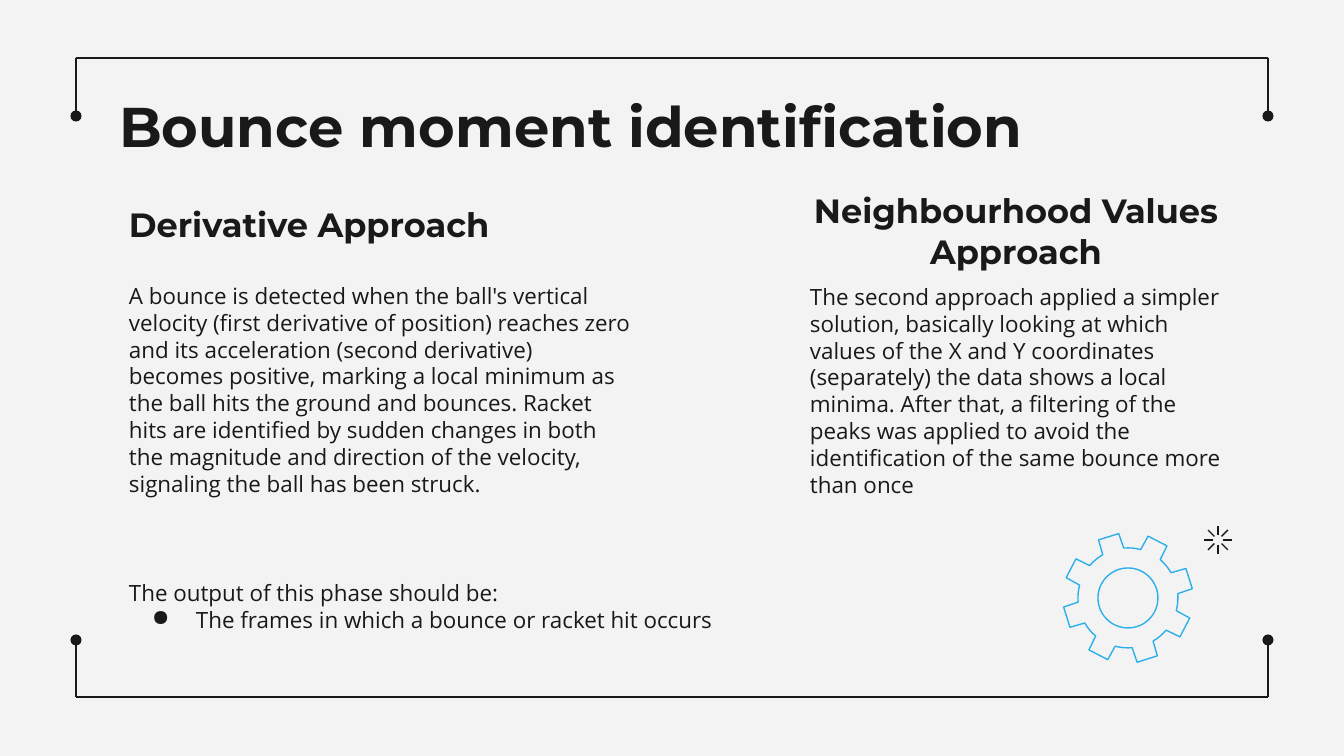
from math import cos, radians, sin

from lxml.etree import SubElement
from pptx import Presentation
from pptx.dml.color import RGBColor
from pptx.enum.shapes import MSO_CONNECTOR, MSO_SHAPE
from pptx.enum.text import MSO_ANCHOR, MSO_AUTO_SIZE, PP_ALIGN
from pptx.oxml.ns import qn
from pptx.util import Emu, Pt

INK = RGBColor(0x19, 0x19, 0x19)
BLUE = RGBColor(0x2A, 0xAF, 0xEB)
PAPER = RGBColor(0xF3, 0xF3, 0xF3)
HEADING_FONT, BODY_FONT = "Montserrat", "Open Sans"
LINE_WIDTH = Pt(0.75)

TITLE = ("Bounce moment identification", (106, 79, 1133, 85))
HEADINGS = [
    ("Derivative Approach", (116, 175, 403, 82), PP_ALIGN.LEFT),
    ("Neighbourhood Values Approach", (793, 202, 446, 82), PP_ALIGN.CENTER),
]
BODIES = [
    (["A bounce is detected when the ball's vertical velocity (first derivative of "
      "position) reaches zero and its acceleration (second derivative) becomes "
      "positive, marking a local minimum as the ball hits the ground and bounces. "
      "Racket hits are identified by sudden changes in both the magnitude and "
      "direction of the velocity, signaling the ball has been struck."],
     (116, 269, 530, 98)),
    (["The second approach applied a simpler solution, basically looking at which "
      "values of the X and Y coordinates (separately) the data shows a local minima. "
      "After that, a filtering of the peaks was applied to avoid the identification "
      "of the same bounce more than once"],
     (797, 270, 438, 98)),
    (["The output of this phase should be:",
      "The frames in which a bounce or racket hit occurs"],
     (116, 566, 625, 82)),
]
BULLETED = {"The frames in which a bounce or racket hit occurs"}

FRAME_LEFT, FRAME_RIGHT = 76, 1268
FRAME_EDGES = [(58, 116), (697, 640)]

GEAR_CENTER, HUB_RADIUS = (1128, 598), 30
TOOTH_COUNT, FIRST_TOOTH_ANGLE = 8, -107.5
TOOTH_OUTLINE = [(50, -12.7), (65, -9.4), (65, 9.4), (50, 12.7),
                 (50, 17.6), (50, 22.5), (50, 27.4)]
SPARK_CENTER, RAY_COUNT, RAY_START, RAY_END = (1218, 540), 8, 5, 14


def px(length):
    return Emu(round(length * 914400 / 134.4))


def polar(center, radius, angle):
    return (center[0] + radius * cos(radians(angle)),
            center[1] + radius * sin(radians(angle)))


def fill_text(shape, paragraphs, font_name, size, bold=False,
              align=PP_ALIGN.LEFT, anchor=MSO_ANCHOR.TOP):
    frame = shape.text_frame
    frame.word_wrap = True
    frame.auto_size = MSO_AUTO_SIZE.NONE
    frame.vertical_anchor = anchor
    frame.margin_left = frame.margin_right = px(13)
    frame.margin_top = frame.margin_bottom = px(13)
    for index, text in enumerate(paragraphs):
        paragraph = frame.add_paragraph() if index else frame.paragraphs[0]
        paragraph.text = text
        paragraph.alignment = align
        paragraph.line_spacing = 1.0
        paragraph.space_before = Pt(0)
        if text in BULLETED:
            properties = paragraph._p.get_or_add_pPr()
            properties.set("marL", str(px(67)))
            properties.set("indent", str(px(-44)))
            SubElement(properties, qn("a:buChar")).set("char", "●")
        paragraph.font.name = font_name
        paragraph.font.size = Pt(size)
        paragraph.font.bold = bold
        paragraph.font.color.rgb = INK


def add_text(slide, box, *args, **options):
    fill_text(slide.shapes.add_textbox(*map(px, box)), *args, **options)


def add_line(slide, start, end, dot=False):
    line = slide.shapes.add_connector(MSO_CONNECTOR.STRAIGHT, *map(px, start + end))
    line.line.color.rgb = INK
    line.line.width = LINE_WIDTH
    if dot:
        SubElement(line.line._get_or_add_ln(), qn("a:tailEnd")).set("type", "oval")
    SubElement(line._element.spPr, qn("a:effectLst"))


def outline_blue(shape):
    shape.shadow.inherit = False
    shape.fill.background()
    shape.line.color.rgb = BLUE
    shape.line.width = LINE_WIDTH


def add_frame(slide):
    for edge, dot_y in FRAME_EDGES:
        add_line(slide, (FRAME_LEFT, edge), (FRAME_RIGHT, edge))
        for x in (FRAME_LEFT, FRAME_RIGHT):
            add_line(slide, (x, edge), (x, dot_y), dot=True)


def add_gear(slide):
    step = 360 / TOOTH_COUNT
    points = [
        tuple(map(px, polar(GEAR_CENTER, radius, FIRST_TOOTH_ANGLE + tooth * step + angle)))
        for tooth in range(TOOTH_COUNT)
        for radius, angle in TOOTH_OUTLINE
    ]
    builder = slide.shapes.build_freeform(*points[0])
    builder.add_line_segments(points[1:], close=True)
    outline_blue(builder.convert_to_shape())
    x, y = GEAR_CENTER
    hub_box = (x - HUB_RADIUS, y - HUB_RADIUS, 2 * HUB_RADIUS, 2 * HUB_RADIUS)
    outline_blue(slide.shapes.add_shape(MSO_SHAPE.OVAL, *map(px, hub_box)))


def add_spark(slide):
    for ray in range(RAY_COUNT):
        angle = ray * 360 / RAY_COUNT
        add_line(slide, polar(SPARK_CENTER, RAY_START, angle),
                 polar(SPARK_CENTER, RAY_END, angle))


def main():
    presentation = Presentation()
    presentation.slide_width, presentation.slide_height = px(1344), px(756)
    slide = presentation.slides.add_slide(presentation.slide_layouts[5])
    slide.background.fill.solid()
    slide.background.fill.fore_color.rgb = PAPER

    add_frame(slide)
    text, box = TITLE
    title = slide.shapes.title
    title.left, title.top, title.width, title.height = map(px, box)
    fill_text(title, [text], HEADING_FONT, 30, bold=True)
    for text, box, align in HEADINGS:
        add_text(slide, box, [text], HEADING_FONT, 18, bold=True,
                 align=align, anchor=MSO_ANCHOR.BOTTOM)
    for paragraphs, box in BODIES:
        add_text(slide, box, paragraphs, BODY_FONT, 12)
    add_spark(slide)
    add_gear(slide)
    presentation.save("out.pptx")


if __name__ == "__main__":
    main()
